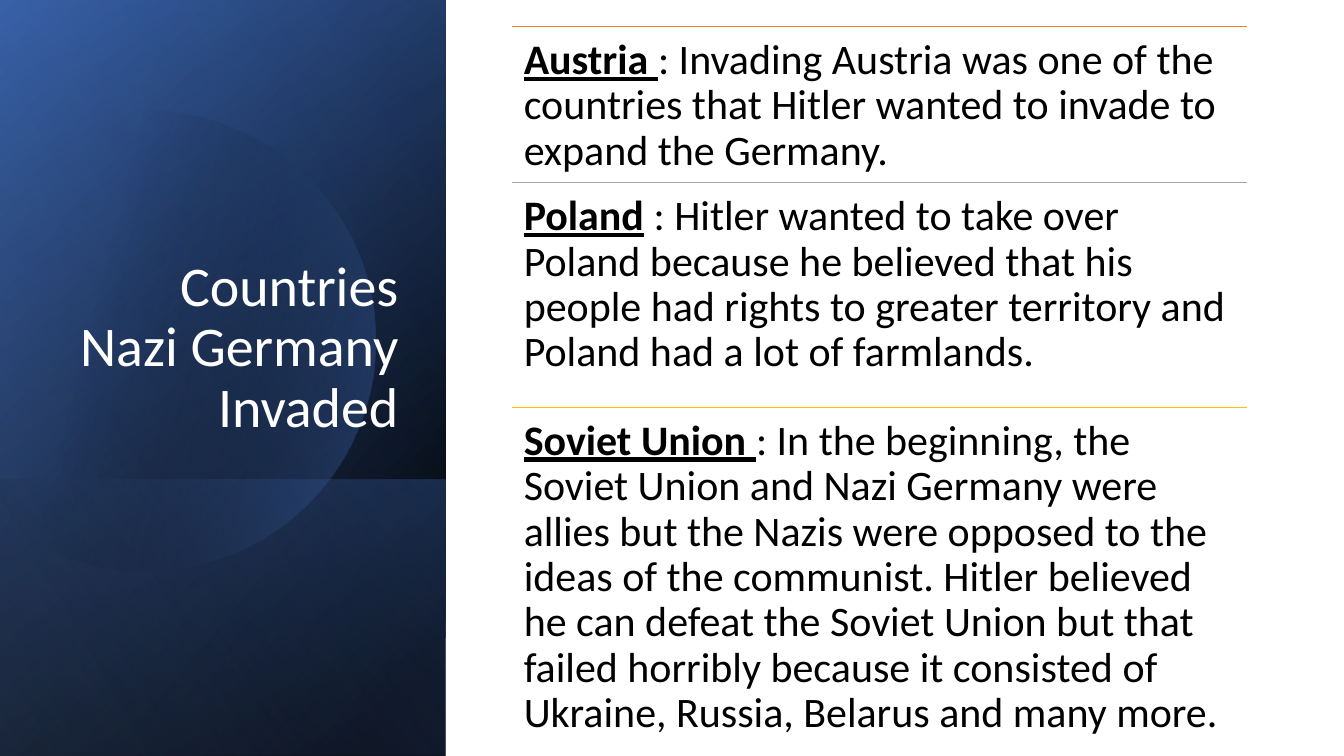
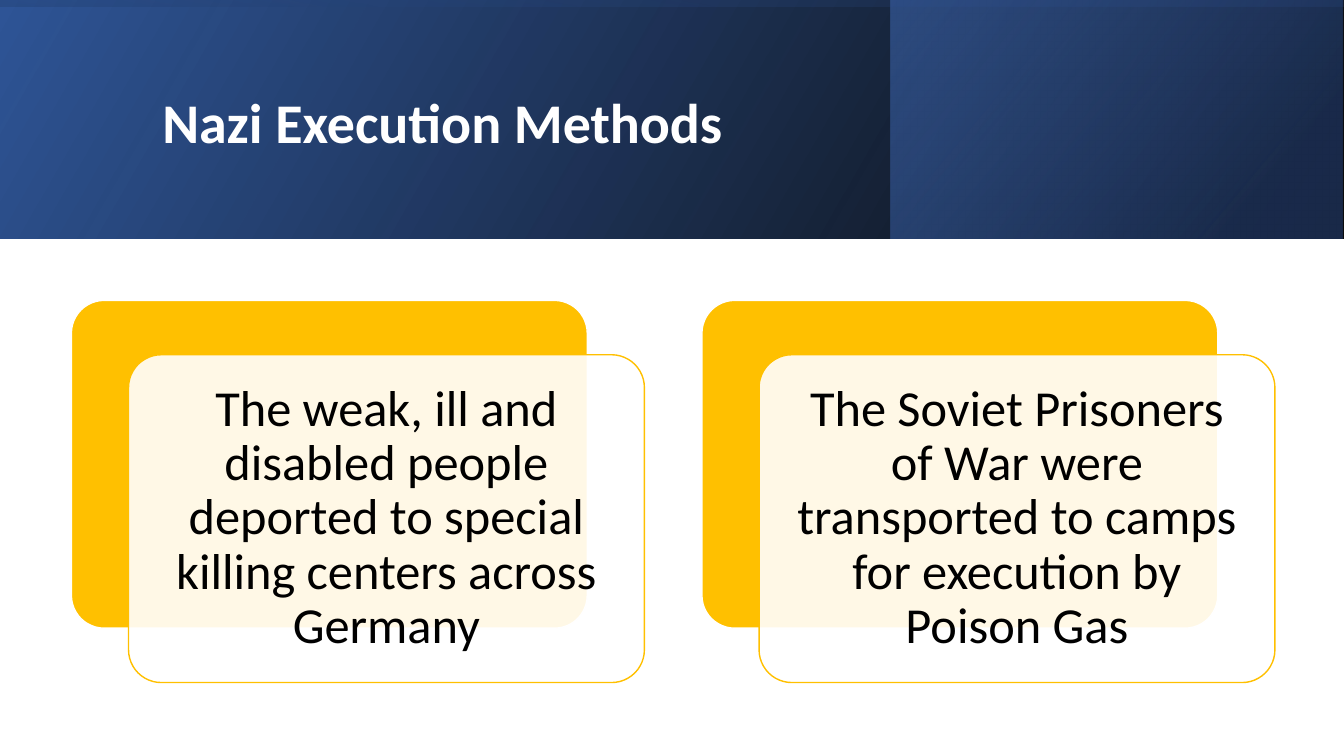
"""Build two slides on the countries Nazi Germany invaded and its execution methods."""
from math import cos, radians, sin

from lxml import etree
from pptx import Presentation
from pptx.dml.color import RGBColor
from pptx.enum.shapes import MSO_CONNECTOR, MSO_SHAPE
from pptx.enum.text import MSO_ANCHOR as ANCHOR, PP_ALIGN as ALIGN
from pptx.oxml import parse_xml
from pptx.oxml.ns import qn
from pptx.util import Cm, Pt

FONT = "Calibri"
BLACK, WHITE, GOLD = "000000", "FFFFFF", "FFC000"
BLUE, DARK_BLUE, NAVY, PALE_BLUE = "4472C4", "2F5597", "203864", "8FAADC"
DRAWING_NS = "http://schemas.openxmlformats.org/drawingml/2006/main"
TITLE_SIZE = 40


def paint(shape, stops, angle=0, outline=None):
    """Fill a shape from (position, colour, opacity) stops and set its outline."""
    colors = [
        f'<a:srgbClr val="{color}"><a:alpha val="{opacity * 1000}"/></a:srgbClr>'
        for _, color, opacity in stops
    ]
    if len(stops) == 1:
        xml = f'<a:solidFill xmlns:a="{DRAWING_NS}">{colors[0]}</a:solidFill>'
    else:
        marks = "".join(
            f'<a:gs pos="{stop[0] * 1000}">{color}</a:gs>'
            for stop, color in zip(stops, colors)
        )
        xml = (
            f'<a:gradFill xmlns:a="{DRAWING_NS}" rotWithShape="1"><a:gsLst>{marks}</a:gsLst>'
            f'<a:lin ang="{angle * 60000}" scaled="0"/></a:gradFill>'
        )
    shape.shadow.inherit = False
    shape.fill.background()
    properties = shape._element.spPr
    properties.replace(properties.find(qn("a:noFill")), parse_xml(xml))
    if outline:
        shape.line.color.rgb = RGBColor.from_string(outline)
        shape.line.width = Pt(1)
    else:
        shape.line.fill.background()


def write(shape, runs, size, color, align=ALIGN.LEFT, anchor=ANCHOR.TOP, inset=0.25):
    """Write one paragraph from (text, bold, underline) runs."""
    frame = shape.text_frame
    frame.word_wrap = True
    frame.vertical_anchor = anchor
    frame.margin_left = frame.margin_right = Cm(inset)
    frame.margin_top = frame.margin_bottom = Cm(inset)
    para = frame.paragraphs[0]
    para.alignment = align
    para.line_spacing = 0.9
    for text, bold, underline in runs:
        span = para.add_run()
        span.text = text
        span.font.name = FONT
        span.font.size = Pt(size)
        span.font.bold = bold
        span.font.underline = underline
        span.font.color.rgb = RGBColor.from_string(color)


deck = Presentation()
deck.slide_width, deck.slide_height = Cm(33.87), Cm(19.05)
countries, methods = [deck.slides.add_slide(deck.slide_layouts[6]) for _ in range(2)]

side_panel = (0, 0, 11.23, 19.05)
side_foot = (0, 12.09, 11.23, 6.96)
top_band = (0, 0, 33.87, 6.02)
top_corner = (22.45, 0, 11.38, 6.02)
bands = [
    (countries, side_panel, 90, 50, [(8, BLACK, 100), (100, DARK_BLUE, 100)]),
    (countries, side_panel, 90, 30, [(0, BLACK, 0), (99, BLUE, 46)]),
    (countries, side_foot, 90, 130, [(2, BLUE, 29), (100, BLACK, 30)]),
    (countries, side_panel, 90, 120, [(0, BLACK, 0), (99, PALE_BLUE, 11)]),
    (methods, top_band, 0, 330, [(0, BLACK, 96), (100, DARK_BLUE, 100)]),
    (methods, top_corner, 0, 320, [(19, NAVY, 68), (100, BLUE, 48)]),
    (methods, top_band, 270, 350, [(23, DARK_BLUE, 16), (99, BLACK, 45)]),
]
for page, (left, top, width, height), turn, angle, stops in bands:
    across, down = (height, width) if turn else (width, height)
    band = page.shapes.add_shape(
        MSO_SHAPE.RECTANGLE,
        Cm(left + (width - across) / 2), Cm(top + (height - down) / 2),
        Cm(across), Cm(down),
    )
    band.rotation = turn
    band._element.spPr.xfrm.set("flipH", "1")
    paint(band, stops, angle)

center_x, center_y, radius = 3.66, 8.59, 5.79
arc = [
    (Cm(center_x + radius * cos(radians(step))), Cm(center_y + radius * sin(radians(step))))
    for step in range(-129, 130, 2)
]
outline = countries.shapes.build_freeform(*arc[0])
outline.add_line_segments(arc[1:], close=True)
paint(outline.convert_to_shape(), [(29, BLACK, 0), (100, BLUE, 43)], 14)

titles = [
    (countries, (1.69, 4.67, 8.6, 6.65), "Countries Nazi Germany Invaded",
     False, ALIGN.RIGHT, ANCHOR.BOTTOM),
    (methods, (3.84, 0.97, 27, 4.37), "Nazi Execution Methods",
     True, ALIGN.LEFT, ANCHOR.MIDDLE),
]
for page, place, text, bold, align, anchor in titles:
    box = page.shapes.add_textbox(*map(Cm, place))
    write(box, [(text, bold, False)], TITLE_SIZE, WHITE, align, anchor)

list_left, list_width = 12.9, 18.52
entries = [
    (0.66, 3.94, "ED7D31", "Austria ",
     ": Invading Austria was one of the countries that Hitler wanted to invade to "
     "expand the Germany."),
    (4.6, 5.66, "A5A5A5", "Poland",
     " : Hitler wanted to take over Poland because he believed that his people had "
     "rights to greater territory and Poland had a lot of farmlands."),
    (10.26, 6.65, GOLD, "Soviet Union ",
     ": In the beginning, the Soviet Union and Nazi Germany were allies but the Nazis "
     "were opposed to the ideas of the communist. Hitler believed he can defeat the "
     "Soviet Union but that failed horribly because it consisted of Ukraine, Russia, "
     "Belarus and many more."),
]
for top, height, color, country, reason in entries:
    rule = countries.shapes.add_connector(
        MSO_CONNECTOR.STRAIGHT,
        Cm(list_left), Cm(top), Cm(list_left + list_width), Cm(top),
    )
    rule.line.color.rgb = RGBColor.from_string(color)
    rule.line.width = Pt(0.5)
    etree.SubElement(rule._element.spPr, qn("a:effectLst"))
    box = countries.shapes.add_textbox(Cm(list_left), Cm(top), Cm(list_width), Cm(height))
    write(box, [(country, True, True), (reason, False, False)], 30, BLACK, inset=0.3)

card_left, card_top, card_width, card_height = 1.8, 7.57, 13, 8.26
card_pitch, shift_x, shift_y = 15.89, 1.44, 1.37
facts = [
    "The weak, ill and disabled people deported to special killing centers across Germany",
    "The Soviet Prisoners of War were transported to camps for execution by Poison Gas",
]
for index, fact in enumerate(facts):
    left = card_left + index * card_pitch
    layers = [(0, 0, GOLD, 100, WHITE), (shift_x, shift_y, WHITE, 90, GOLD)]
    for offset_x, offset_y, color, opacity, edge in layers:
        card = methods.shapes.add_shape(
            MSO_SHAPE.ROUNDED_RECTANGLE,
            Cm(left + offset_x), Cm(card_top + offset_y), Cm(card_width), Cm(card_height),
        )
        card.adjustments[0] = 0.1
        paint(card, [(0, color, opacity)], outline=edge)
    write(card, [(fact, False, False)], 36, BLACK, ALIGN.CENTER, ANCHOR.MIDDLE, 0.38)

deck.save("out.pptx")
